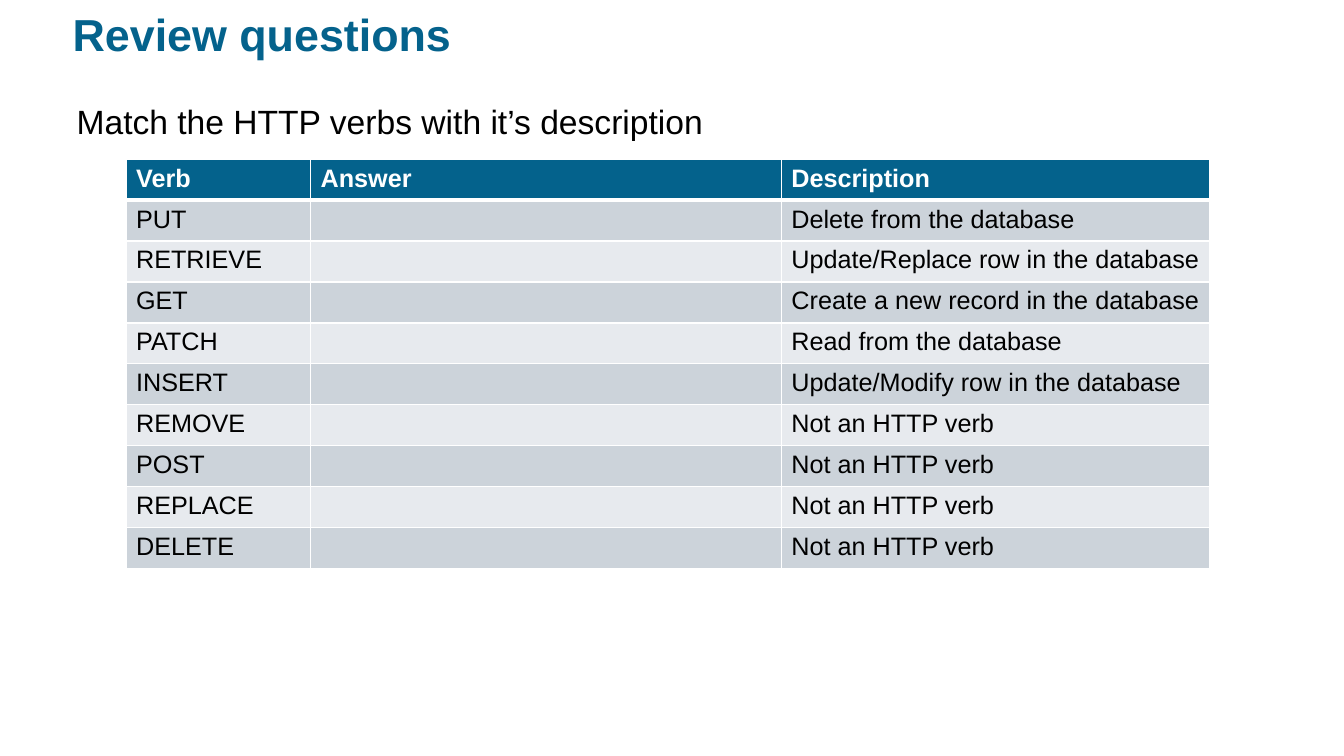
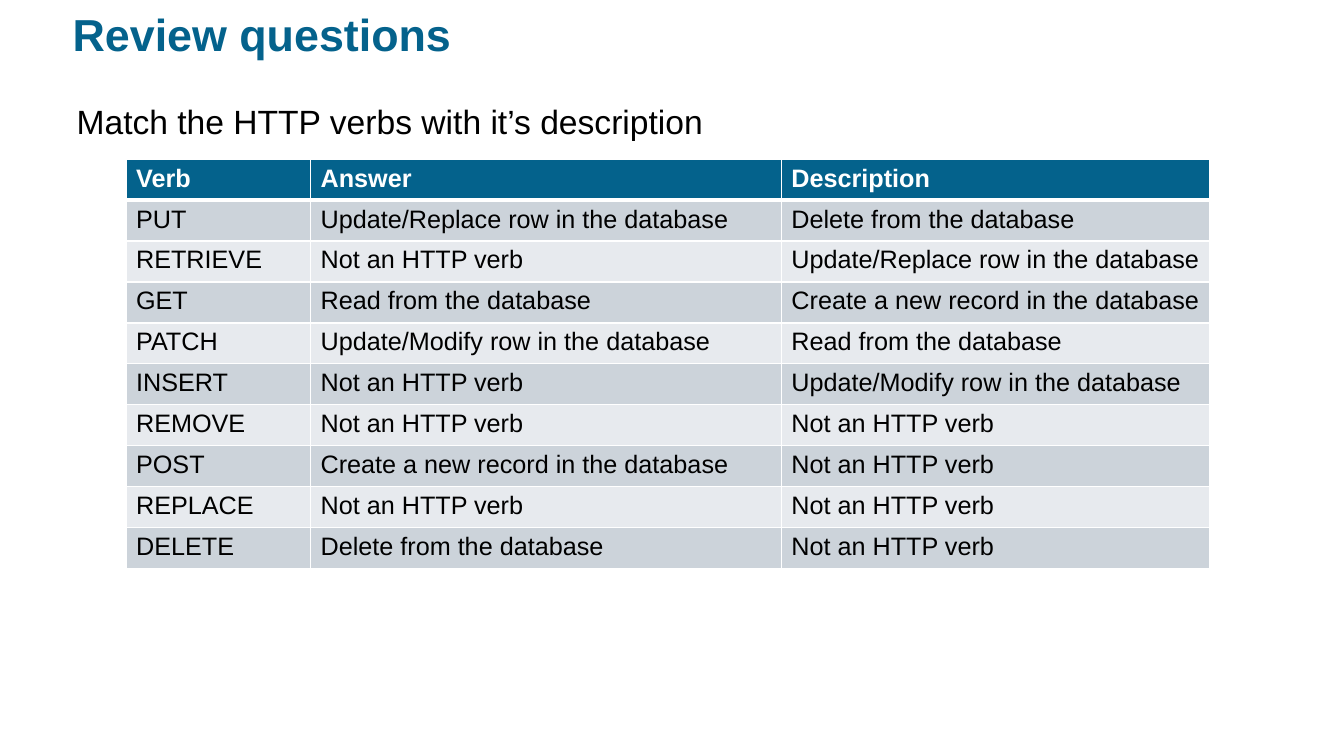
from lxml import etree
from pptx import Presentation
from pptx.dml.color import RGBColor
from pptx.enum.text import MSO_ANCHOR
from pptx.oxml.ns import qn
from pptx.util import Inches, Pt

# Content
TITLE = "Review questions"
PROMPT = "Match the HTTP verbs with it’s description"
HEADER = ("Verb", "Answer", "Description")
DELETE = "Delete from the database"
REPLACE = "Update/Replace row in the database"
CREATE = "Create a new record in the database"
READ = "Read from the database"
MODIFY = "Update/Modify row in the database"
NONE = "Not an HTTP verb"
ROWS = [  # verb, answer, description
    ("PUT", REPLACE, DELETE),
    ("RETRIEVE", NONE, REPLACE),
    ("GET", READ, CREATE),
    ("PATCH", MODIFY, READ),
    ("INSERT", NONE, MODIFY),
    ("REMOVE", NONE, NONE),
    ("POST", CREATE, NONE),
    ("REPLACE", NONE, NONE),
    ("DELETE", DELETE, NONE),
]

# Shared style
FONT = "Arial"
COLORS = {"accent": "04628C", "text": "000000", "white": "FFFFFF",
          "odd": "CCD3DA", "even": "E7EAEE"}
COL_WIDTHS = (1.83, 4.67, 4.25)
ROW_HEIGHT = 0.406


def rgb(name):
    return RGBColor.from_string(COLORS[name])


def style(p, size, color, bold=False):
    for r in p.runs:
        r.font.name = FONT
        r.font.size = Pt(size)
        r.font.bold = bold
        r.font.color.rgb = rgb(color)


def add_text(s, text, box, size, color, bold=False, spacing=None):
    tf = s.shapes.add_textbox(*map(Inches, box)).text_frame
    tf.word_wrap = True
    tf.vertical_anchor = MSO_ANCHOR.TOP
    tf.margin_left = tf.margin_right = tf.margin_top = tf.margin_bottom = 0
    p = tf.paragraphs[0]
    p.text = text
    if spacing:
        p.line_spacing = spacing
    style(p, size, color, bold)


def set_borders(cell, top, bottom):
    tc_pr = cell._tc.get_or_add_tcPr()
    sides = (("lnL", 1), ("lnR", 1), ("lnT", top), ("lnB", bottom))
    for i, (tag, width) in enumerate(sides):
        ln = etree.Element(qn(f"a:{tag}"), w=str(Pt(width)))
        fill = etree.SubElement(ln, qn("a:solidFill"))
        etree.SubElement(fill, qn("a:srgbClr"), val=COLORS["white"])
        tc_pr.insert(i, ln)


def add_verb_table(s, show_answers):
    rows = [HEADER] + [(verb, answer if show_answers else "", description)
                       for verb, answer, description in ROWS]
    table = s.shapes.add_table(
        len(rows), len(HEADER), Inches(1.25), Inches(1.58),
        Inches(sum(COL_WIDTHS)), Inches(ROW_HEIGHT * len(rows))).table
    for column, width in zip(table.columns, COL_WIDTHS):
        column.width = Inches(width)
    for i, row in enumerate(rows):
        table.rows[i].height = Inches(ROW_HEIGHT)
        is_header = i == 0
        fill = "accent" if is_header else "odd" if i % 2 else "even"
        for j, text in enumerate(row):
            cell = table.cell(i, j)
            cell.fill.solid()
            cell.fill.fore_color.rgb = rgb(fill)
            set_borders(cell, 3 if i == 1 else 1, 3 if is_header else 1)
            p = cell.text_frame.paragraphs[0]
            if text:
                p.text = text
                style(p, 18, "white" if is_header else "text", is_header)
            else:
                p.font.size = Pt(18)


def add_review_slide(prs, show_answers):
    s = prs.slides.add_slide(prs.slide_layouts[6])
    add_text(s, TITLE, (0.72, 0.13, 12.13, 0.81), 32, "accent", True, 0.9)
    add_text(s, PROMPT, (0.76, 1, 12.13, 0.5), 24, "text")
    add_verb_table(s, show_answers)


def main():
    prs = Presentation()
    prs.slide_width = Inches(13.33)
    prs.slide_height = Inches(7.5)
    for show_answers in (False, True):
        add_review_slide(prs, show_answers)
    prs.save("out.pptx")


if __name__ == "__main__":
    main()
